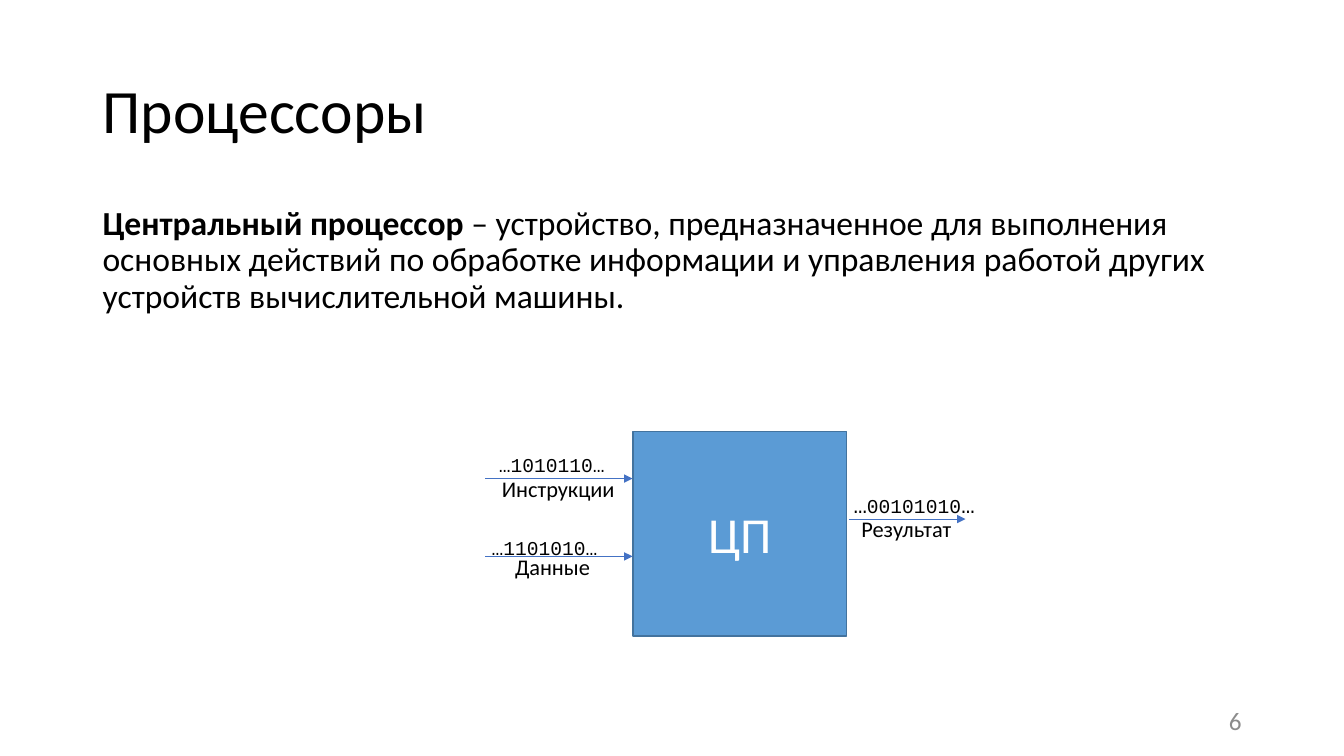
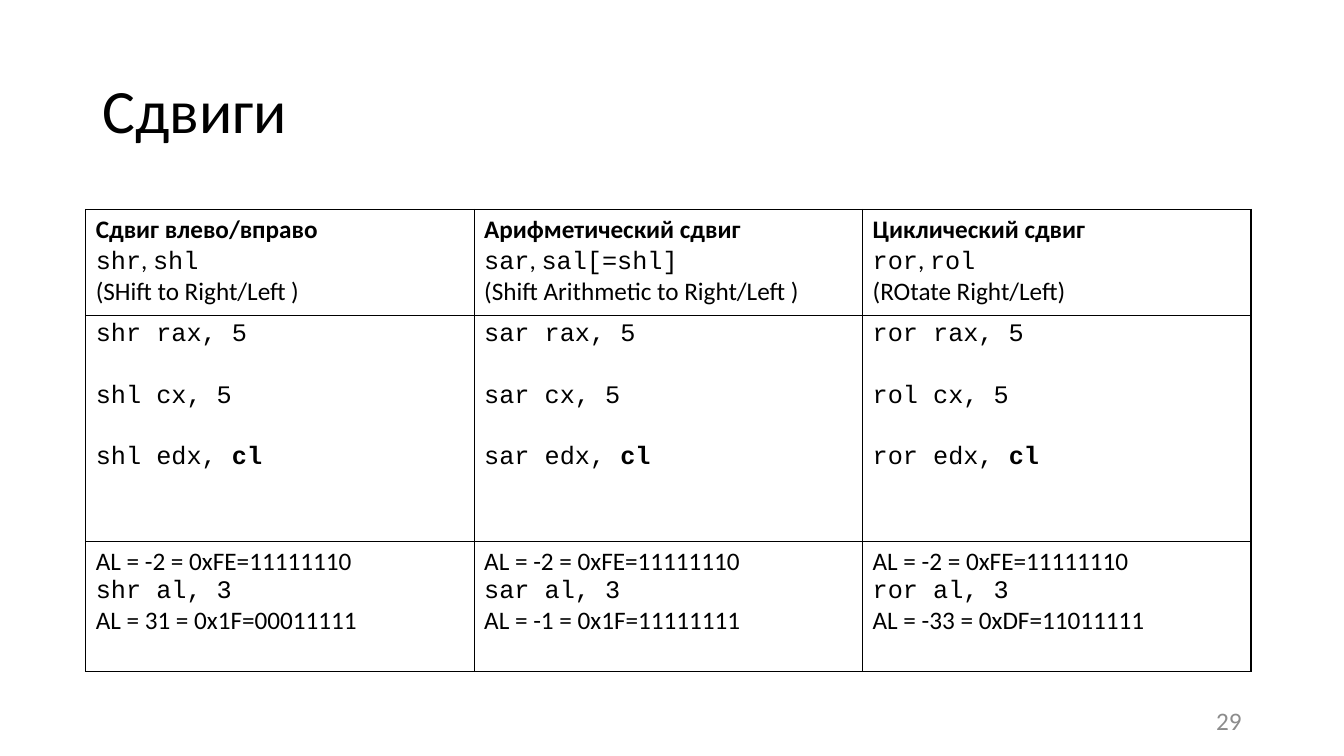
from dataclasses import dataclass

from lxml import etree
from pptx import Presentation
from pptx.dml.color import RGBColor
from pptx.enum.shapes import MSO_CONNECTOR, MSO_SHAPE
from pptx.enum.text import MSO_ANCHOR, MSO_AUTO_SIZE, PP_ALIGN
from pptx.oxml.ns import qn
from pptx.shapes.base import BaseShape
from pptx.slide import Slide
from pptx.table import _Cell
from pptx.text.text import TextFrame, _Paragraph
from pptx.util import Cm, Pt

LEFT, CENTER, RIGHT = PP_ALIGN.LEFT, PP_ALIGN.CENTER, PP_ALIGN.RIGHT
TOP, MIDDLE = MSO_ANCHOR.TOP, MSO_ANCHOR.MIDDLE
NO_FIT, GROW = MSO_AUTO_SIZE.NONE, MSO_AUTO_SIZE.SHAPE_TO_FIT_TEXT
RECTANGLE, STRAIGHT = MSO_SHAPE.RECTANGLE, MSO_CONNECTOR.STRAIGHT
TITLE_AND_BODY, TITLE_ONLY = 1, 5


@dataclass(frozen=True)
class Theme:
    sans: str = "Calibri"
    mono: str = "Courier New"
    ink: str = "000000"
    paper: str = "FFFFFF"
    muted: str = "8C8C8C"
    block: str = "5B9BD5"
    block_edge: str = "43739E"
    arrow: str = "4472C4"
    title: float = 44
    chip: float = 36
    body: float = 24
    table: float = 18
    label: float = 16
    bits: float = 14


THEME = Theme()


@dataclass(frozen=True)
class Box:
    left: float
    top: float
    width: float
    height: float


@dataclass(frozen=True)
class Span:
    text: str
    bold: bool = False
    face: str = ""
    size: float = 0


@dataclass(frozen=True)
class Signal:
    start: float
    end: float
    level: float
    bits: tuple[Span, ...]
    bits_box: Box
    label: str
    label_box: Box


@dataclass(frozen=True)
class ShiftKind:
    heading: str
    right: str
    left: str
    meaning: str
    commands: tuple[str, str, str]
    result: str


TITLE_BOX = Box(2.33, 1.01, 29.21, 3.68)
NUMBER_BOX = Box(23.92, 17.65, 7.62, 1.01)
BODY_BOX = Box(2.33, 5.08, 30.18, 4.45)
CHIP_BOX = Box(15.95, 10.87, 5.39, 5.16)

DEFINITION = (
    Span("Центральный процессор ", bold=True),
    Span("– устройство, предназначенное для выполнения основных действий "
         "по обработке информации и управления работой других устройств "
         "вычислительной машины."),
)

SIGNALS = (
    Signal(12.23, 15.94, 12.06, (Span("…1010110…"),), Box(12.32, 11.3, 3.2, 0.86),
           "Инструкции", Box(12.4, 11.86, 3.38, 0.94)),
    Signal(12.23, 15.94, 14.02, (Span("…1101010…"),), Box(12.14, 13.39, 3.2, 0.86),
           "Данные", Box(12.73, 13.82, 2.41, 0.94)),
    Signal(21.39, 24.33, 13.08,
           (Span("…", size=THEME.label), Span("00101010"), Span("…", size=THEME.label)),
           Box(21.26, 12.24, 3.58, 0.94), "Результат", Box(21.46, 12.85, 2.82, 0.94)),
)

SHIFTS = (
    ShiftKind("Сдвиг влево/вправо", "shr", "shl", "(SHift to Right/Left )",
              ("shr", "shl", "shl"), "AL = 31 = 0x1F=00011111"),
    ShiftKind("Арифметический сдвиг", "sar", "sal[=shl]", "(Shift Arithmetic to Right/Left )",
              ("sar", "sar", "sar"), "AL = -1 = 0x1F=11111111"),
    ShiftKind("Циклический сдвиг", "ror", "rol", "(ROtate Right/Left)",
              ("ror", "rol", "ror"), "AL = -33 = 0xDF=11011111"),
)

COLUMN_WIDTH = 9.79
ROW_HEIGHTS = (2.67, 1.55, 1.55, 1.55, 1.04, 3.28)
TABLE_BOX = Box(2.16, 5.28, COLUMN_WIDTH * len(SHIFTS), sum(ROW_HEIGHTS))
TOP_RULES = (0, 1, 5)
BOTTOM_RULES = (0, 4, 5)


def rgb(value: str) -> RGBColor:
    return RGBColor.from_string(value)


def lengths(box: Box) -> tuple[Cm, Cm, Cm, Cm]:
    return Cm(box.left), Cm(box.top), Cm(box.width), Cm(box.height)


def place(shape: BaseShape, box: Box) -> None:
    shape.left, shape.top, shape.width, shape.height = lengths(box)


def style(para: _Paragraph, size: float, color: str = THEME.ink,
          face: str = THEME.sans, align: PP_ALIGN = LEFT) -> None:
    para.alignment = align
    para.font.name = face
    para.font.size = Pt(size)
    para.font.color.rgb = rgb(color)


def write(para: _Paragraph, spans: tuple[Span, ...]) -> None:
    for span in spans:
        if span.text == "\n":
            para.add_line_break()
            continue
        run = para.add_run()
        run.text = span.text
        if span.bold:
            run.font.bold = True
        if span.face:
            run.font.name = span.face
        if span.size:
            run.font.size = Pt(span.size)


def set_frame(frame: TextFrame, anchor: MSO_ANCHOR, wrap: bool = True,
              fit: MSO_AUTO_SIZE = NO_FIT) -> None:
    frame.word_wrap = wrap
    frame.auto_size = fit
    frame.vertical_anchor = anchor


def add_page(deck: Presentation, layout: int, title: str, number: int) -> Slide:
    page = deck.slides.add_slide(deck.slide_layouts[layout])
    heading = page.shapes.title
    place(heading, TITLE_BOX)
    set_frame(heading.text_frame, MIDDLE)
    para = heading.text_frame.paragraphs[0]
    style(para, THEME.title)
    para.line_spacing = 0.9
    write(para, (Span(title),))

    footer = page.shapes.add_textbox(*lengths(NUMBER_BOX)).text_frame
    set_frame(footer, MIDDLE)
    para = footer.paragraphs[0]
    style(para, THEME.table, THEME.muted, align=RIGHT)
    write(para, (Span(str(number)),))
    return page


def add_definition(page: Slide) -> None:
    body = page.placeholders[1]
    place(body, BODY_BOX)
    set_frame(body.text_frame, TOP)
    para = body.text_frame.paragraphs[0]
    style(para, THEME.body)
    para.line_spacing = 0.9
    para.space_before = Pt(10)
    properties = para._p.get_or_add_pPr()
    properties.set("marL", "0")
    properties.set("indent", "0")
    properties.insert_element_before(
        etree.Element(qn("a:buNone")), "a:tabLst", "a:defRPr", "a:extLst")
    write(para, DEFINITION)


def add_chip(page: Slide) -> None:
    chip = page.shapes.add_shape(RECTANGLE, *lengths(CHIP_BOX))
    chip.shadow.inherit = False
    chip.fill.solid()
    chip.fill.fore_color.rgb = rgb(THEME.block)
    chip.line.color.rgb = rgb(THEME.block_edge)
    chip.line.width = Pt(1)
    set_frame(chip.text_frame, MIDDLE)
    para = chip.text_frame.paragraphs[0]
    style(para, THEME.chip, THEME.paper, align=CENTER)
    write(para, (Span("ЦП"),))


def add_caption(page: Slide, box: Box, spans: tuple[Span, ...], size: float, face: str) -> None:
    frame = page.shapes.add_textbox(*lengths(box)).text_frame
    set_frame(frame, TOP, wrap=False, fit=GROW)
    para = frame.paragraphs[0]
    style(para, size, face=face)
    write(para, spans)


def add_signal(page: Slide, signal: Signal) -> None:
    level = Cm(signal.level)
    arrow = page.shapes.add_connector(STRAIGHT, Cm(signal.start), level, Cm(signal.end), level)
    arrow.line.color.rgb = rgb(THEME.arrow)
    arrow.line.width = Pt(0.5)
    etree.SubElement(arrow.line._get_or_add_ln(), qn("a:tailEnd"), type="triangle")
    etree.SubElement(arrow._element.spPr, qn("a:effectLst"))
    add_caption(page, signal.bits_box, signal.bits, THEME.bits, THEME.mono)
    add_caption(page, signal.label_box, (Span(signal.label),), THEME.label, THEME.sans)


def rule_cell(cell: _Cell, row: int) -> None:
    properties = cell._tc.get_or_add_tcPr()
    edges = {"L": True, "R": True, "T": row in TOP_RULES, "B": row in BOTTOM_RULES}
    for edge, visible in edges.items():
        line = etree.SubElement(properties, qn(f"a:ln{edge}"), w=str(Pt(1)))
        if visible:
            fill = etree.SubElement(line, qn("a:solidFill"))
            etree.SubElement(fill, qn("a:srgbClr"), val=THEME.ink)
        else:
            etree.SubElement(line, qn("a:noFill"))
    cell.fill.solid()
    cell.fill.fore_color.rgb = rgb(THEME.paper)


def code(text: str) -> Span:
    return Span(text, face=THEME.mono)


def column_cells(kind: ShiftKind) -> tuple[tuple[tuple[Span, ...], ...], ...]:
    first, second, third = kind.commands
    heading = (Span(kind.heading, bold=True), Span("\n"),
               code(kind.right), Span(", "), code(kind.left))
    return (
        (heading, (Span(kind.meaning),)),
        ((code(f"{first} rax, 5"),),),
        ((code(f"{second} cx, 5"),),),
        ((code(f"{third} edx, "), Span("cl", bold=True, face=THEME.mono)),),
        ((),),
        ((Span("AL = -2 = 0xFE=11111110"),), (code(f"{kind.right} al, 3"),),
         (Span(kind.result),)),
    )


def add_shift_table(page: Slide) -> None:
    table = page.shapes.add_table(len(ROW_HEIGHTS), len(SHIFTS), *lengths(TABLE_BOX)).table
    table.first_row = False
    table.horz_banding = False
    for row, height in zip(table.rows, ROW_HEIGHTS):
        row.height = Cm(height)
    for column, kind in enumerate(SHIFTS):
        table.columns[column].width = Cm(COLUMN_WIDTH)
        for row, lines in enumerate(column_cells(kind)):
            cell = table.cell(row, column)
            rule_cell(cell, row)
            frame = cell.text_frame
            for index, spans in enumerate(lines):
                para = frame.add_paragraph() if index else frame.paragraphs[0]
                style(para, THEME.table)
                write(para, spans)


def main() -> None:
    deck = Presentation()
    deck.slide_width, deck.slide_height = Cm(33.87), Cm(19.05)

    processors = add_page(deck, TITLE_AND_BODY, "Процессоры", 6)
    add_definition(processors)
    add_chip(processors)
    for signal in SIGNALS:
        add_signal(processors, signal)

    shifts = add_page(deck, TITLE_ONLY, "Сдвиги", 29)
    add_shift_table(shifts)

    deck.save("out.pptx")


main()
